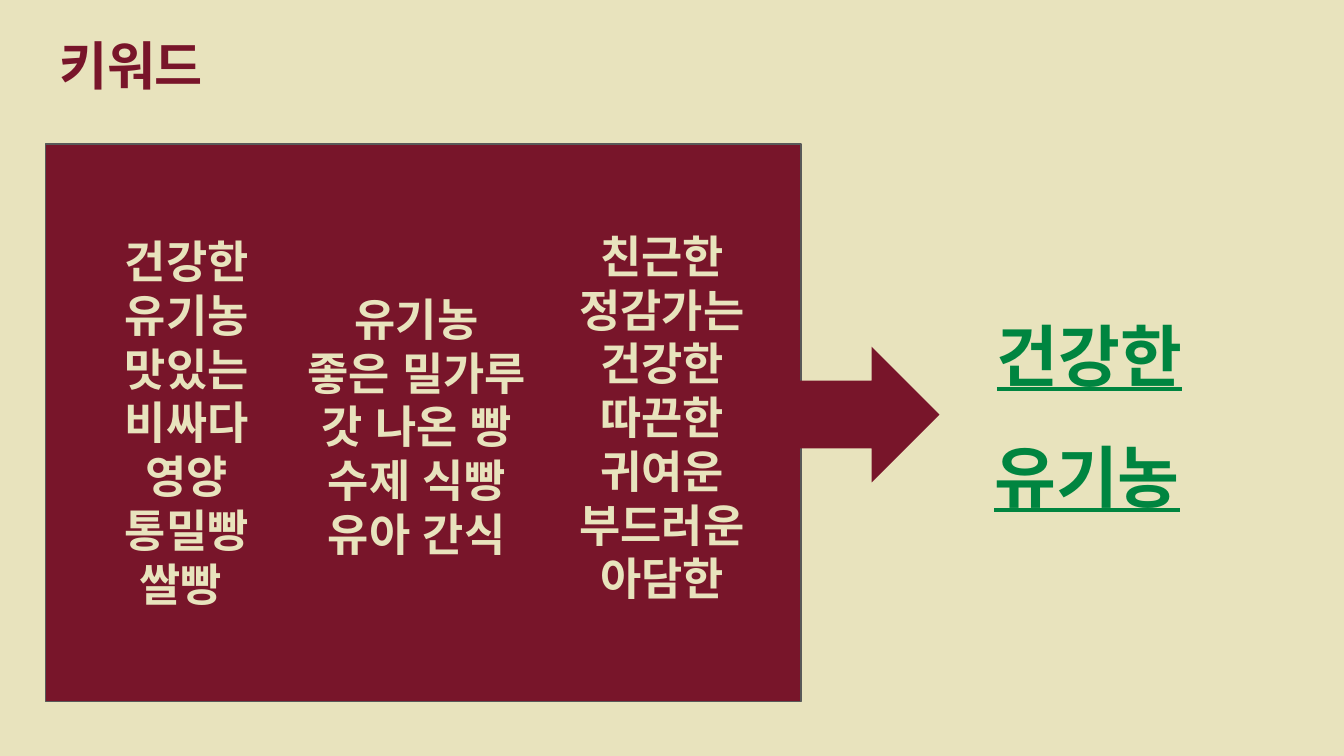
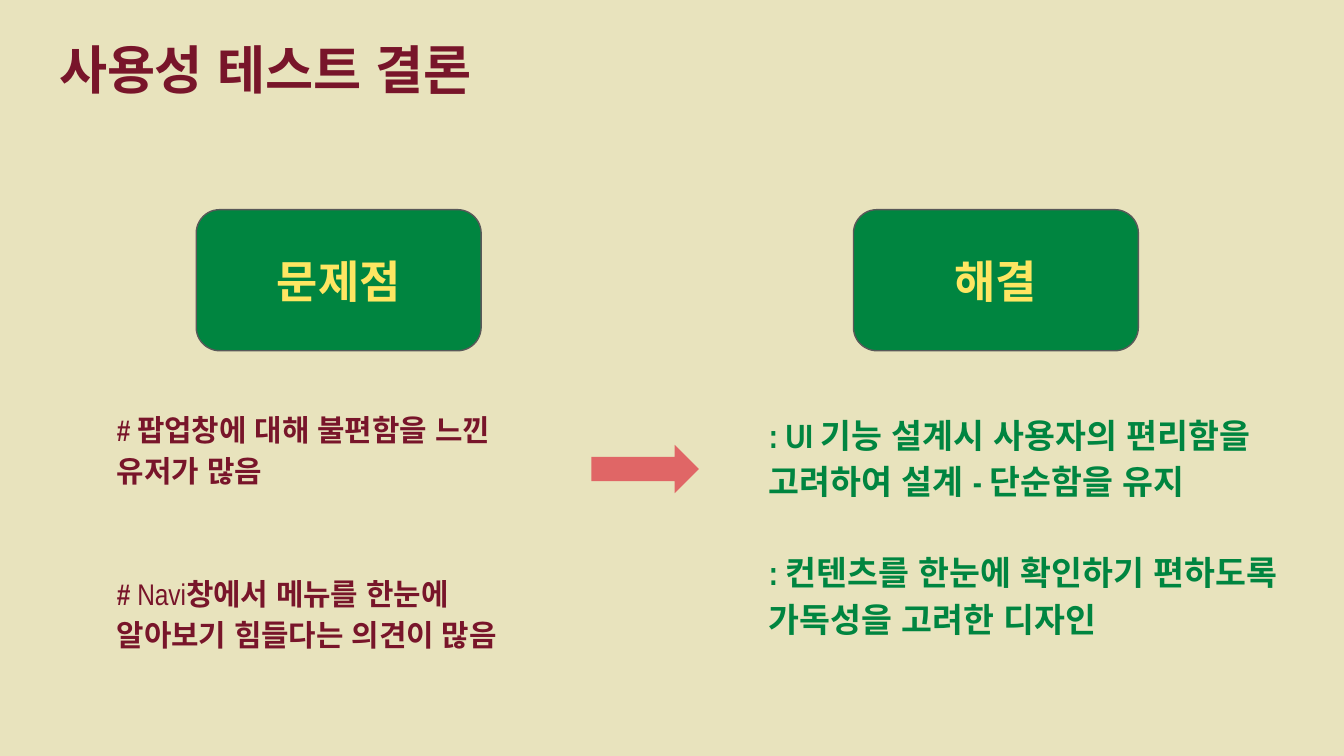
from dataclasses import dataclass

from lxml.etree import SubElement
from pptx import Presentation
from pptx.dml.color import RGBColor as Rgb
from pptx.enum.shapes import MSO_SHAPE as Shape
from pptx.enum.text import MSO_ANCHOR as Anchor, MSO_AUTO_SIZE as AutoSize, PP_ALIGN as Align
from pptx.oxml.ns import qn
from pptx.util import Inches, Pt


@dataclass(frozen=True)
class Theme:
    """Colours, fonts and type sizes shared by the slides."""
    cream: str = "E8E3BD"
    wine: str = "78152A"
    green: str = "008540"
    yellow: str = "FEE662"
    coral: str = "E06666"
    outline: str = "595959"
    sans: str = "Arial"
    narrow: str = "Arial Narrow"
    title: int = 28
    keyword: int = 24
    result: int = 36
    problem: int = 16
    solution: int = 18


@dataclass(frozen=True)
class Box:
    """A rectangle in inches."""
    left: float
    top: float
    width: float
    height: float

    def inner(self, dx, dy, width, height):
        """Return a box placed relative to this one."""
        return Box(self.left + dx, self.top + dy, width, height)

    def lengths(self):
        """Return left, top, width and height as lengths."""
        return [Inches(v) for v in (self.left, self.top, self.width, self.height)]


@dataclass(frozen=True)
class Style:
    """Look of a block of text."""
    font: str
    size: int
    color: str
    align: Align = Align.LEFT
    anchor: Anchor = Anchor.TOP
    underline: bool = False
    spacing: float = 1.0
    gap: float = 0


THEME = Theme()
TITLE = Style(THEME.narrow, THEME.title, THEME.wine)
KEYWORD = Style(THEME.sans, THEME.keyword, THEME.cream, Align.CENTER)
RESULT = Style(THEME.sans, THEME.result, THEME.green, underline=True)
HEADING = Style(THEME.narrow, THEME.keyword, THEME.yellow, Align.CENTER, Anchor.MIDDLE)
PROBLEM = Style(THEME.narrow, THEME.problem, THEME.wine, spacing=1.15, gap=44)
SOLUTION = Style(THEME.narrow, THEME.solution, THEME.green, spacing=1.15, gap=24)


def add_run(paragraph, text, style, bold=True):
    """Add one formatted run for Latin and Korean text."""
    run = paragraph.add_run()
    run.text = text
    font = run.font
    font.name, font.size, font.bold = style.font, Pt(style.size), bold
    font.color.rgb = Rgb.from_string(style.color)
    if style.underline:
        font.underline = True
    for script in ("a:ea", "a:cs"):
        SubElement(font._element, qn(script)).set("typeface", THEME.sans)


def write(holder, paragraphs, style):
    """Fill a shape with paragraphs, each a list of (text, bold) runs or a string."""
    frame = holder.text_frame
    frame.word_wrap, frame.auto_size = True, AutoSize.NONE
    frame.vertical_anchor = style.anchor
    frame.margin_left = frame.margin_right = Inches(0.1)
    frame.margin_top = frame.margin_bottom = Inches(0.1)
    for number, content in enumerate(paragraphs):
        paragraph = frame.add_paragraph() if number else frame.paragraphs[0]
        paragraph.alignment = style.align
        paragraph.line_spacing = style.spacing
        paragraph.space_before = Pt(style.gap if number else 0)
        paragraph.space_after = Pt(0)
        properties = paragraph._p.get_or_add_pPr()
        properties.set("marL", "0")
        properties.set("indent", "0")
        SubElement(properties, qn("a:buNone"))
        runs = [(content, True)] if isinstance(content, str) else content
        for text, bold in runs:
            add_run(paragraph, text, style, bold)


def fill_placeholder(holder, box, paragraphs, style):
    """Move a placeholder into a box and write its text."""
    holder.left, holder.top, holder.width, holder.height = box.lengths()
    write(holder, paragraphs, style)


def add_block(slide, kind, box, color, outline=None):
    """Draw a flat filled shape."""
    block = slide.shapes.add_shape(kind, *box.lengths())
    block.shadow.inherit = False
    block.fill.solid()
    block.fill.fore_color.rgb = Rgb.from_string(color)
    if outline:
        block.line.color.rgb = Rgb.from_string(outline)
        block.line.width = Pt(0.75)
    else:
        block.line.fill.background()
    return block


def new_slide(deck, layout, title, box):
    """Add a cream slide with its title, and return it with its body placeholders."""
    slide = deck.slides.add_slide(deck.slide_layouts.get_by_name(layout))
    slide.background.fill.solid()
    slide.background.fill.fore_color.rgb = Rgb.from_string(THEME.cream)
    fill_placeholder(slide.shapes.title, box, [title], TITLE)
    bodies = [p for p in slide.placeholders if p.placeholder_format.idx in range(1, 5)]
    return slide, bodies


def keyword_panel(slide, bodies, box):
    """Place the wine panel, its keyword columns and the arrow leaving it."""
    panel = add_block(slide, Shape.RECTANGLE, box, THEME.wine, THEME.outline)
    slide.shapes._spTree.insert(2, panel._element)
    columns = (
        (box.inner(0.07, 0.57, 1.96, 3.21),
         ["건강한", "유기농", "맛있는", "비싸다", "영양", "통밀빵", "쌀빵 "]),
        (box.inner(1.58, 1.0, 2.36, 2.37),
         ["유기농", "좋은 밀가루", "갓 나온 빵", "수제 식빵", "유아 간식"]),
        (box.inner(3.46, 0.53, 2.25, 3.17),
         ["친근한", "정감가는", "건강한", "따끈한", "귀여운", "부드러운", "아담한"]),
    )
    for body, (column, keywords) in zip(bodies, columns):
        fill_placeholder(body, column, keywords, KEYWORD)
    for unused in bodies[len(columns):]:
        unused._element.getparent().remove(unused._element)
    add_block(slide, Shape.RIGHT_ARROW, box.inner(5.53, 1.51, 1.12, 1.01), THEME.wine)


def chosen_keywords(slide, box):
    """Place the two underlined keywords."""
    for keyword, place in (("건강한", box.inner(0.02, 0, 1.96, 0.92)),
                           ("유기농", box.inner(0, 0.9, 1.82, 1.01))):
        write(slide.shapes.add_textbox(*place.lengths()), [keyword], RESULT)


def conclusion_column(slide, body, box, heading, heading_left, text_box, points, style):
    """Place a rounded heading and the points below it."""
    label = add_block(slide, Shape.FLOWCHART_ALTERNATE_PROCESS,
                      box.inner(heading_left, 0, 2.12, 1.05), THEME.green, THEME.outline)
    write(label, [heading], HEADING)
    fill_placeholder(body, box.inner(*text_box), points, style)


def keyword_slide(deck):
    """Build the keyword slide."""
    slide, bodies = new_slide(deck, "Comparison", "키워드", Box(0.34, 0.15, 5.62, 0.63))
    keyword_panel(slide, bodies, Box(0.34, 1.07, 5.62, 4.15))
    chosen_keywords(slide, Box(7.3, 2.24, 1.98, 1.91))


def conclusion_slide(deck):
    """Build the usability test conclusion slide."""
    slide, (problems, solutions) = new_slide(
        deck, "Two Content", "사용성 테스트 결론", Box(0.34, 0.18, 9.32, 0.68))
    conclusion_column(
        slide, problems, Box(0.77, 1.56, 3.47, 3.41), "문제점", 0.69, (0, 1.36, 3.47, 2.05),
        ["# 팝업창에 대해 불편함을 느낀 유저가 많음",
         [("#", True), (" Navi", False),
          ("창에서 메뉴를 한눈에 알아보기 힘들다는 의견이 많음", True)]], PROBLEM)
    conclusion_column(
        slide, solutions, Box(5.62, 1.56, 4.12, 3.76), "해결", 0.73, (0, 1.38, 4.12, 2.38),
        [": UI 기능 설계시 사용자의 편리함을 고려하여 설계 - 단순함을 유지",
         ": 컨텐츠를 한눈에 확인하기 편하도록 가독성을 고려한 디자인"], SOLUTION)
    add_block(slide, Shape.RIGHT_ARROW, Box(4.4, 3.31, 0.8, 0.36), THEME.coral)


def main():
    """Build and save the deck."""
    deck = Presentation()
    deck.slide_width = Inches(10)
    deck.slide_height = deck.slide_width * 9 // 16
    keyword_slide(deck)
    conclusion_slide(deck)
    deck.save("out.pptx")


if __name__ == "__main__":
    main()
